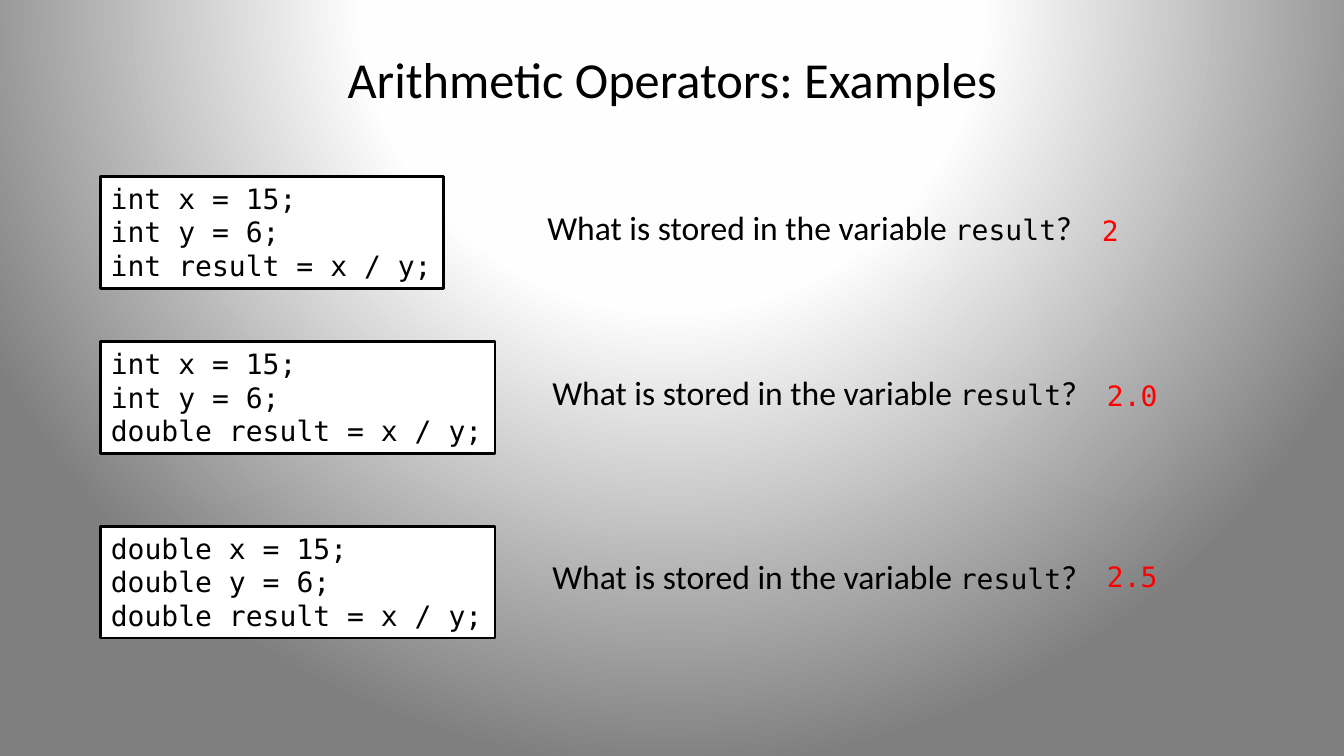
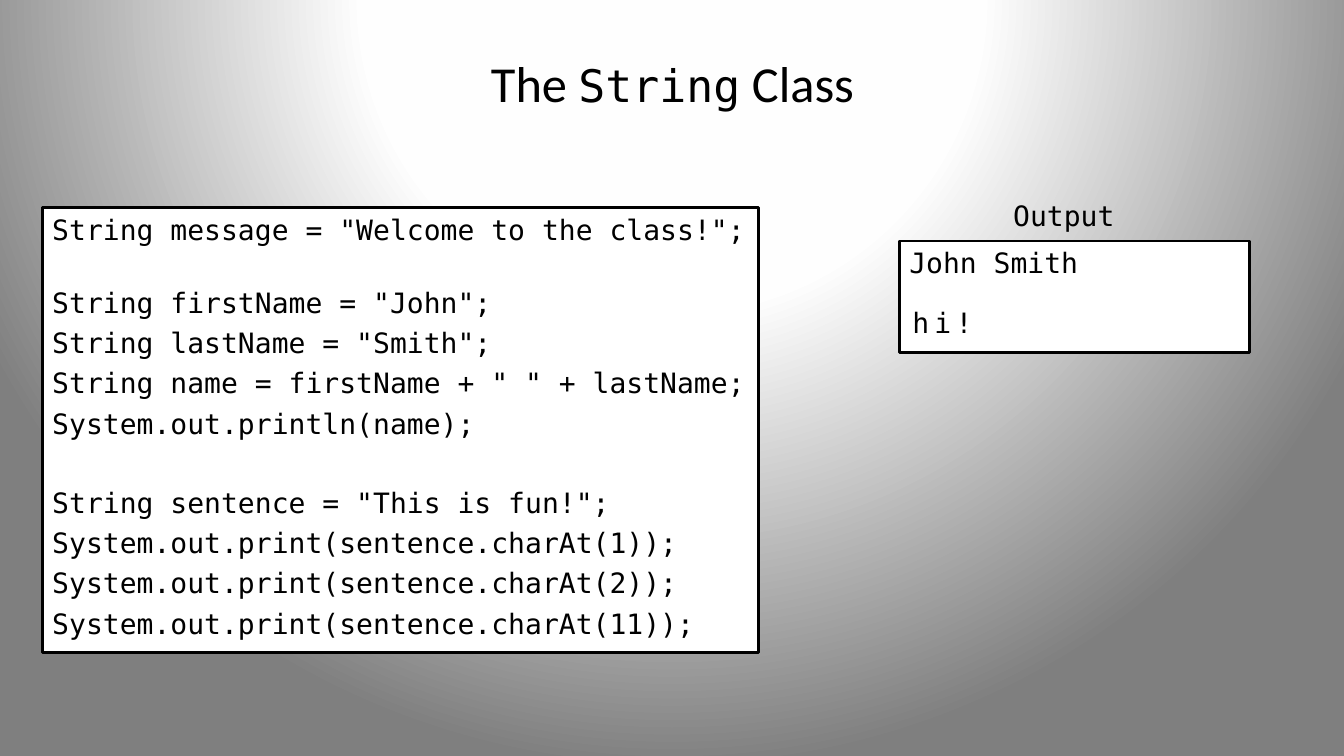
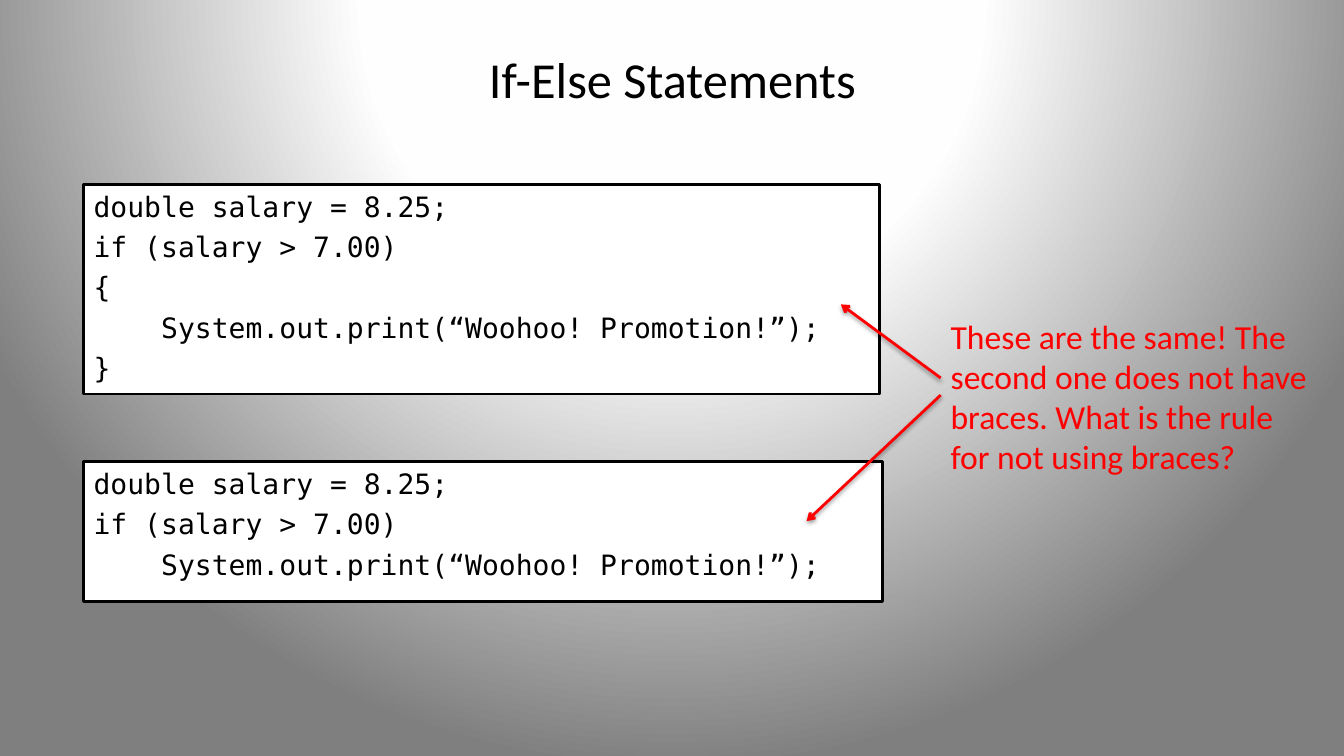
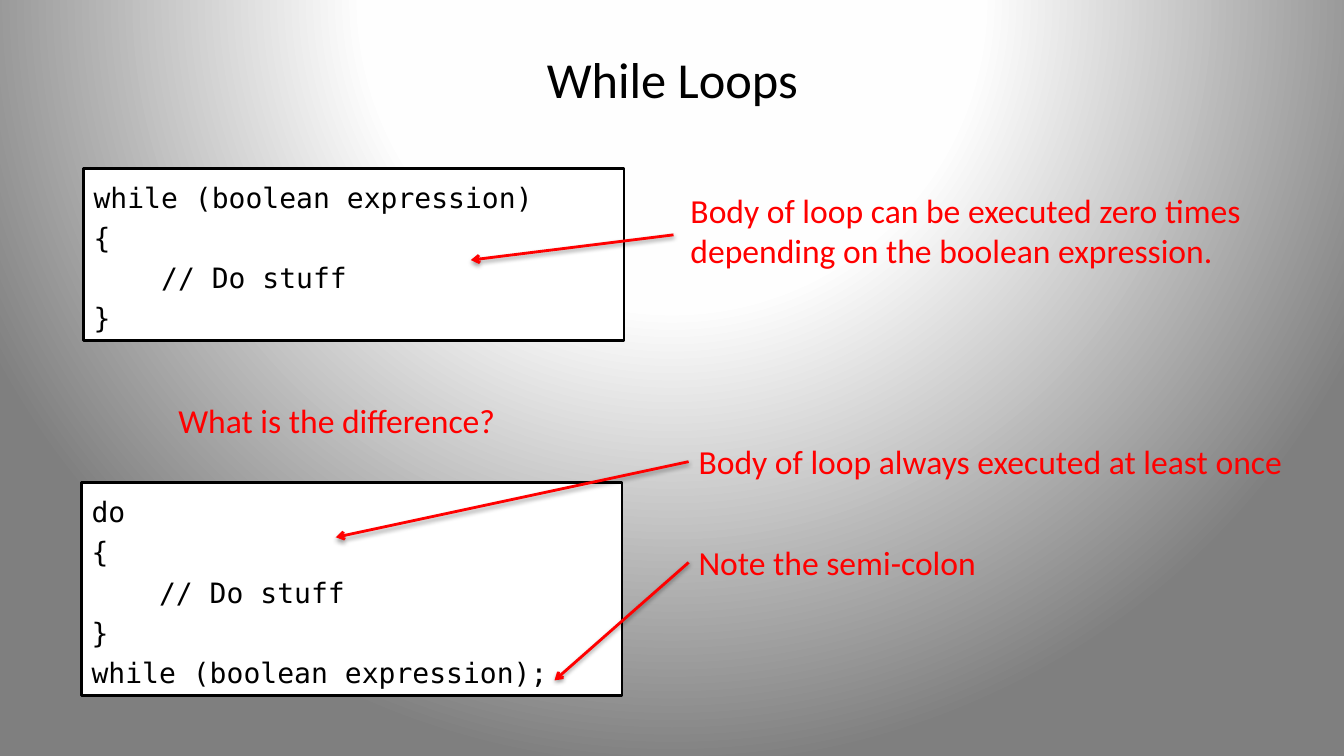
from dataclasses import dataclass

from pptx import Presentation
from pptx.dml.color import RGBColor
from pptx.enum.shapes import MSO_CONNECTOR, MSO_SHAPE
from pptx.enum.text import MSO_ANCHOR, MSO_AUTO_SIZE, PP_ALIGN
from pptx.oxml import parse_xml
from pptx.oxml.ns import nsdecls, qn
from pptx.util import Pt

EMU_PER_PX = 9144  # 100 px to the inch


def px(*lengths):
    return [length * EMU_PER_PX for length in lengths]


@dataclass(frozen=True)
class Theme:
    ink: RGBColor = RGBColor(0, 0, 0)
    paper: RGBColor = RGBColor(255, 255, 255)
    accent: RGBColor = RGBColor(255, 0, 0)
    gradient: tuple = ((0, "FFFFFF"), (40, "FEFEFE"), (100, "7F7F7F"))
    body_font: str = "Calibri"
    code_font: str = "DejaVu Sans Mono"
    title_size: float = 36
    title_code_size: float = 32
    body_size: float = 24
    code_size: float = 20
    code_gap: float = 4.7
    stroke: float = 2


class Lesson:
    """Holds the theme, the deck and the slide being filled."""

    def __init__(self, theme):
        self.theme = theme
        self.deck = Presentation()
        self.deck.slide_width, self.deck.slide_height = px(1333, 750)
        self.slide = None
        self.paint_background()

    def paint_background(self):
        master = self.deck.slide_master
        master.background.fill.gradient()
        stops = "".join(
            f'<a:gs pos="{percent * 1000}"><a:srgbClr val="{colour}"/></a:gs>'
            for percent, colour in self.theme.gradient)
        gradient = parse_xml(
            f'<a:gradFill {nsdecls("a")} rotWithShape="1"><a:gsLst>{stops}</a:gsLst>'
            '<a:path path="circle">'
            '<a:fillToRect l="50000" t="-80000" r="50000" b="180000"/>'
            '</a:path></a:gradFill>')
        old = master.element.find(f'.//{qn("p:bgPr")}/{qn("a:gradFill")}')
        old.getparent().replace(old, gradient)

    def style(self, span, font, size, colour):
        span.font.name = font
        span.font.size = Pt(size)
        span.font.color.rgb = colour

    def set_spans(self, para, text, size, code_size, colour):
        """Parts of the text between backticks are set as code."""
        if "`" not in text:
            para.text = text
            for span in para.runs:
                self.style(span, self.theme.body_font, size, colour)
            return
        for index, part in enumerate(text.split("`")):
            if part:
                span = para.add_run()
                span.text = part
                if index % 2:
                    self.style(span, self.theme.code_font, code_size, colour)
                else:
                    self.style(span, self.theme.body_font, size, colour)

    def page(self, title, title_height=95):
        theme = self.theme
        self.slide = self.deck.slides.add_slide(self.deck.slide_layouts[6])
        box = self.slide.shapes.add_textbox(*px(67, 30, 1200, title_height))
        frame = box.text_frame
        frame.word_wrap = True
        frame.vertical_anchor = MSO_ANCHOR.MIDDLE
        para = frame.paragraphs[0]
        para.alignment = PP_ALIGN.CENTER
        self.set_spans(para, title, theme.title_size, theme.title_code_size, theme.ink)

    def label(self, left, top, width, height, text, colour=None):
        theme = self.theme
        box = self.slide.shapes.add_textbox(*px(left, top, width, height))
        frame = box.text_frame
        frame.word_wrap = False
        frame.auto_size = MSO_AUTO_SIZE.SHAPE_TO_FIT_TEXT
        self.set_spans(frame.paragraphs[0], text, theme.body_size, theme.code_size,
                       colour or theme.ink)
        return box

    def note(self, left, top, width, text, height=50):
        return self.label(left, top, width, height, text, self.theme.accent)

    def code(self, left, top, width, height, text, gap=0, line_spacing=None, gaps=None):
        """gap is the space between lines; gaps overrides it by line number."""
        theme = self.theme
        box = self.slide.shapes.add_shape(
            MSO_SHAPE.RECTANGLE, *px(left, top, width, height))
        box.shadow.inherit = False
        box.fill.solid()
        box.fill.fore_color.rgb = theme.paper
        box.line.color.rgb = theme.ink
        box.line.width = Pt(theme.stroke)
        frame = box.text_frame
        frame.word_wrap = True
        frame.margin_right = 0
        frame.vertical_anchor = MSO_ANCHOR.TOP
        frame.text = text
        for number, para in enumerate(frame.paragraphs):
            para.alignment = PP_ALIGN.LEFT
            if number:
                para.space_before = Pt((gaps or {}).get(number, gap))
            if line_spacing:
                para.line_spacing = line_spacing
            for span in para.runs:
                self.style(span, theme.code_font, theme.code_size, theme.ink)

    def arrow(self, start, end, source=None):
        """A source box is joined at the middle of its left side."""
        line = self.slide.shapes.add_connector(
            MSO_CONNECTOR.STRAIGHT, *px(*start, *end))
        if source is not None:
            line.begin_connect(source, 1)
        line.line.color.rgb = self.theme.accent
        line.line.width = Pt(self.theme.stroke)
        properties = line.element.spPr
        properties.find(qn("a:ln")).append(
            parse_xml(f'<a:tailEnd {nsdecls("a")} type="arrow"/>'))
        properties.append(parse_xml(
            f'<a:effectLst {nsdecls("a")}>'
            '<a:outerShdw blurRad="40000" dist="20000" dir="5400000" rotWithShape="0">'
            '<a:srgbClr val="000000"><a:alpha val="38000"/></a:srgbClr>'
            '</a:outerShdw></a:effectLst>'))


def arithmetic(lesson):
    lesson.page("Arithmetic Operators: Examples")
    examples = (
        # top, code width, question left, operand type, result type, answer, its top and width
        (175, 340, 533, "int", "int", "2", 207, 37),
        (339, 391, 538, "int", "double", "2.0", 371, 71),
        (522, 391, 538, "double", "double", "2.5", 550, 71),
    )
    for top, width, left, operand, result, answer, answer_top, answer_width in examples:
        lesson.code(100, top, width, 111,
                    f"{operand} x = 15;\n{operand} y = 6;\n{result} result = x / y;")
        lesson.label(left, top + 25, 567, 50, "What is stored in the variable `result`?")
        lesson.note(left + 550, answer_top, answer_width, f"`{answer}`", 44)


def string_class(lesson):
    lesson.page("The `String` Class", 103)
    lesson.code(42, 206, 710, 441, """String message = "Welcome to the class!";
String firstName = "John";
String lastName = "Smith";
String name = firstName + " " + lastName;
System.out.println(name);
String sentence = "This is fun!";
System.out.print(sentence.charAt(1));
System.out.print(sentence.charAt(2));
System.out.print(sentence.charAt(11));""",
                gap=lesson.theme.code_gap, gaps={1: 28, 5: 32.7})

    # Output panel, with the printed letters one by one
    lesson.code(892, 239, 347, 111, "John Smith")
    lesson.label(995, 192, 121, 44, "`Output`")
    for left, letter in zip((895, 917, 938), "hi!"):
        lesson.label(left, 298, 37, 44, f"`{letter}`")


def if_else(lesson):
    gap = lesson.theme.code_gap
    condition = "double salary = 8.25;\nif (salary > 7.00)"
    action = "    System.out.print(“Woohoo! Promotion!”);"
    lesson.page("If-Else Statements")
    lesson.code(83, 183, 789, 208, f"{condition}\n{{\n{action}\n}}", gap)
    lesson.code(83, 458, 792, 139, f"{condition}\n{action}", gap)
    lesson.note(933, 308, 378, "These are the same! The\vsecond one does not have\v"
                "braces. What is the rule\vfor not using braces?", 172)
    lesson.arrow((933, 375), (834, 302))
    lesson.arrow((933, 392), (800, 517))


def while_loops(lesson):
    body = "{\n    // Do stuff\n}"
    test = "while (boolean expression)"
    lesson.page("While Loops")
    lesson.code(83, 167, 536, 171, f"{test}\n{body}", line_spacing=1.2)
    lesson.code(81, 479, 536, 211, f"do\n{body}\n{test};", line_spacing=1.2)
    lesson.note(167, 392, 339, "What is the difference?")

    # Remarks and their arrows
    lesson.note(675, 183, 575, "Body of loop can be executed zero times\v"
                "depending on the boolean expression.", 91)
    lesson.arrow((668, 233), (467, 258))
    always = lesson.note(683, 433, 608, "Body of loop always executed at least once")
    lesson.arrow((683, 458), (333, 533), always)
    semicolon = lesson.note(683, 533, 299, "Note the semi-colon")
    lesson.arrow((683, 558), (550, 675), semicolon)


def main():
    lesson = Lesson(Theme())
    for build in (arithmetic, string_class, if_else, while_loops):
        build(lesson)
    lesson.deck.save("out.pptx")


if __name__ == "__main__":
    main()
